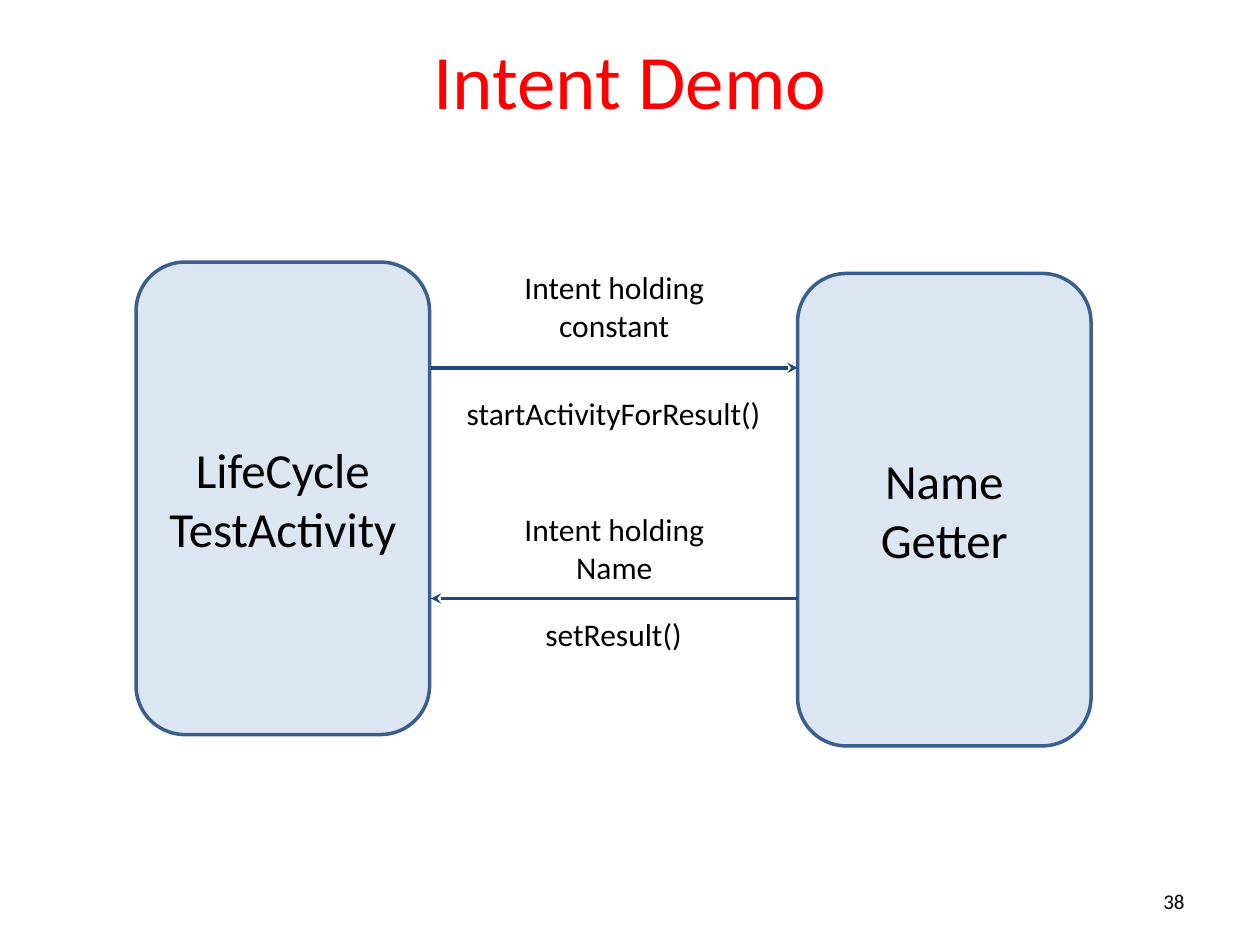
from lxml import etree
from pptx import Presentation
from pptx.dml.color import RGBColor
from pptx.enum.shapes import MSO_CONNECTOR, MSO_SHAPE
from pptx.enum.text import MSO_ANCHOR, PP_ALIGN
from pptx.oxml.ns import qn
from pptx.util import Inches, Pt

RED = RGBColor(0xFF, 0x00, 0x00)
BLACK = RGBColor(0x00, 0x00, 0x00)
PALE_BLUE = RGBColor(0xDC, 0xE6, 0xF2)
BORDER_BLUE = RGBColor(0x3A, 0x5F, 0x8C)
ARROW_BLUE = RGBColor(0x1F, 0x49, 0x7D)


def set_text(sp, text, size, color=BLACK, align=PP_ALIGN.CENTER, anchor=MSO_ANCHOR.MIDDLE):
    tf = sp.text_frame
    tf.word_wrap = True
    tf.vertical_anchor = anchor
    tf.text = text
    for p in tf.paragraphs:
        p.alignment = align
        for r in p.runs:
            r.font.name = "Calibri"
            r.font.size = Pt(size)
            r.font.color.rgb = color


prs = Presentation()
prs.slide_width = Inches(10)
prs.slide_height = Inches(7.5)
s = prs.slides.add_slide(prs.slide_layouts[6])

title = s.shapes.add_textbox(Inches(0.5), Inches(0), Inches(9), Inches(1.25))
set_text(title, "Intent Demo", 44, RED)

number = s.shapes.add_textbox(Inches(7.17), Inches(6.95), Inches(2.33), Inches(0.4))
set_text(number, "38", 12, align=PP_ALIGN.RIGHT)

for x, y, text in [
    (1.08, 2.08, "LifeCycle\vTestActivity"),
    (6.33, 2.17, "Name\vGetter"),
]:
    sp = s.shapes.add_shape(MSO_SHAPE.ROUNDED_RECTANGLE, Inches(x), Inches(y), Inches(2.33), Inches(3.75))
    sp.shadow.inherit = False
    sp.fill.solid()
    sp.fill.fore_color.rgb = PALE_BLUE
    sp.line.color.rgb = BORDER_BLUE
    sp.line.width = Pt(2)
    set_text(sp, text, 28)

for x1, x2, y in [(3.42, 6.33, 2.92), (6.33, 3.42, 4.75)]:
    arrow = s.shapes.add_connector(MSO_CONNECTOR.STRAIGHT, Inches(x1), Inches(y), Inches(x2), Inches(y))
    arrow.line.color.rgb = ARROW_BLUE
    arrow.line.width = Pt(2)
    etree.SubElement(arrow.line._get_or_add_ln(), qn("a:tailEnd"), type="stealth")
    etree.SubElement(arrow._element.spPr, qn("a:effectLst"))

for x, y, w, h, text in [
    (4, 2.08, 1.75, 0.71, "Intent holding constant"),
    (3.58, 3.08, 2.58, 0.4, "startActivityForResult()"),
    (4, 4, 1.75, 0.71, "Intent holding\nName"),
    (3.58, 4.83, 2.58, 0.4, "setResult()"),
]:
    label = s.shapes.add_textbox(Inches(x), Inches(y), Inches(w), Inches(h))
    set_text(label, text, 18, anchor=MSO_ANCHOR.TOP)

prs.save("out.pptx")
